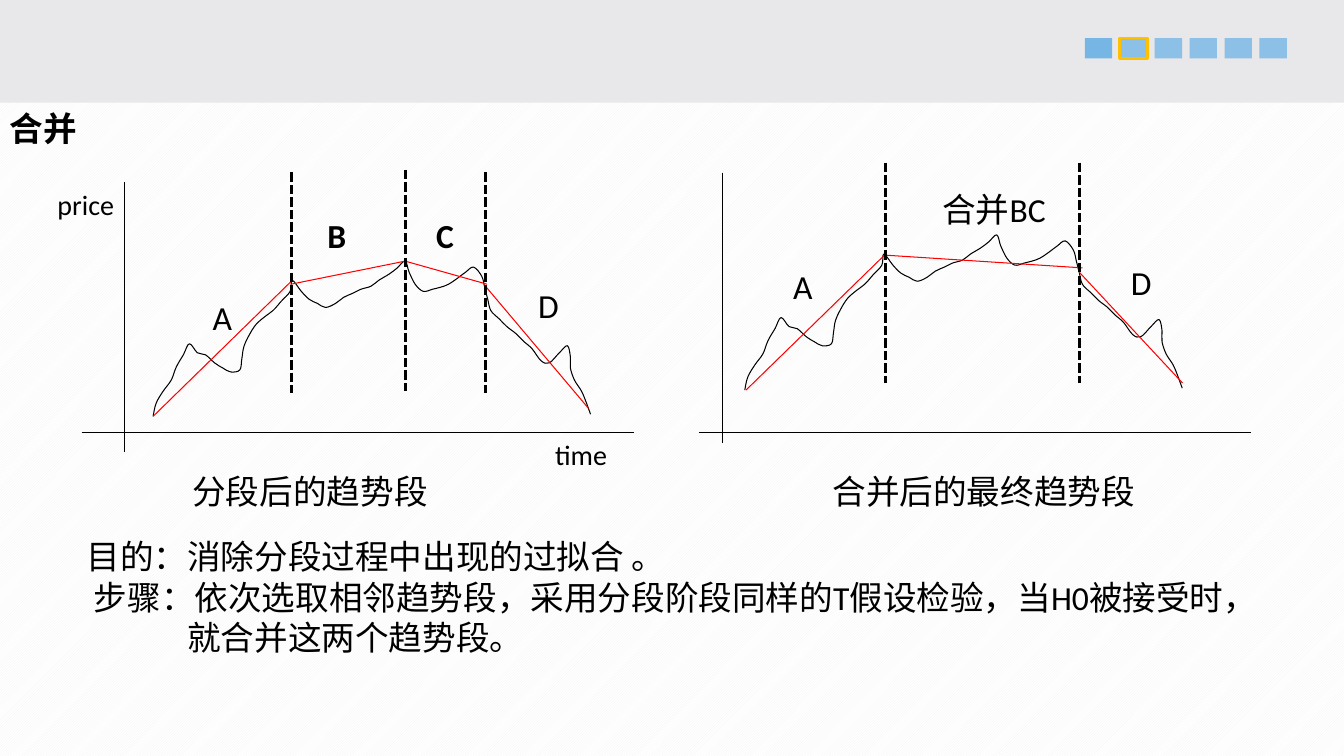
from lxml.etree import SubElement as Sub
from pptx import Presentation
from pptx.dml.color import RGBColor as Rgb
from pptx.enum.dml import MSO_LINE as Dash, MSO_PATTERN as Pat
from pptx.enum.shapes import MSO_CONNECTOR as Conn, MSO_SHAPE as Kind
from pptx.enum.text import MSO_AUTO_SIZE as Fit
from pptx.oxml.ns import qn
from pptx.util import Cm, Pt

HUES = {"ink": "000000", "trend": "FF0000", "band": "E8E8EA", "mark": "75B6E5",
        "ring": "FFC000", "hatch": "F2F2F2", "page": "FFFFFF"}
BODY = {"name": "Calibri", "size": Pt(24), "bold": False}
BOLD = {**BODY, "bold": True}
SMALL = {**BODY, "size": Pt(20)}
HEAD = {**BOLD, "name": "Noto Sans CJK SC"}
THIN = {"width": Pt(0.75)}
SPLIT = {"width": Pt(2.25), "dash_style": Dash.SQUARE_DOT}

# Price curve in hundredths of an inch from its own left and top edge
PRICE = [
    (0, 154), (3, 141), (10, 129), (18, 118), (23, 105), (30, 93), (36, 82),
    (44, 91), (52, 93), (61, 101), (69, 106), (77, 110), (86, 108), (88, 97),
    (90, 85), (95, 74), (102, 63), (111, 55), (119, 49), (127, 40), (136, 30),
    (138, 19), (147, 30), (155, 38), (163, 42), (171, 46), (181, 42), (189, 36),
    (198, 32), (206, 28), (216, 25), (224, 19), (234, 13), (242, 7), (250, 0),
    (254, 11), (260, 23), (268, 30), (277, 28), (285, 26), (293, 23), (302, 17),
    (310, 11), (318, 6), (326, 15), (329, 26), (332, 38), (335, 49), (343, 57),
    (351, 65), (360, 72), (368, 80), (376, 87), (385, 99), (393, 101), (403, 91),
    (411, 84), (414, 95), (414, 106), (418, 118), (425, 129), (430, 141), (434, 152)]

# Lengths in cm from the panel's left and top edge
BEFORE = {
    "axis": (1.07, 0.5), "curve": (1.8, 2.49),
    "trend": [(1.8, 6.4, 5.31, 2.97), (5.28, 3.07, 8.15, 2.49),
              (8.15, 2.49, 10.21, 3.07), (10.13, 3.07, 12.77, 6.2)],
    "split": [(5.28, 0.25), (8.15, 0.19), (10.17, 0.25)],
    "label": [("time", 11.68, 6.81, 1.83, SMALL), ("price", -0.86, 0.51, 1.93, SMALL),
              ("分段后的趋势段", 2.54, 7.64, 6.43, BODY), ("A", 3.05, 3.27, 1, BODY),
              ("B", 5.94, 1.19, 1, BOLD), ("D", 11.25, 2.97, 1, BODY),
              ("C", 8.68, 1.19, 1, BOLD)]}
AFTER = {
    "axis": (0.6, 0.26), "curve": (1.16, 1.83),
    "trend": [(1.19, 5.74, 4.71, 2.31), (9.59, 2.77, 12.19, 5.56),
              (4.71, 2.34, 9.67, 2.66)],
    "split": [(4.71, 0.01), (9.59, 0.01)],
    "label": [("合并后的最终趋势段", 3.12, 7.64, 8.13, BODY), ("A", 2.13, 2.49, 1, BODY),
              ("D", 10.64, 2.39, 1, BODY), ("合并BC", 5.89, 0.54, 3.15, BODY, True)]}
STEPS = ["目的：消除分段过程中出现的过拟合 。",
         " 步骤：依次选取相邻趋势段，采用分段阶段同样的T假设检验，当H0被接受时，",
         "\t就合并这两个趋势段。"]


def hue(key):
    return Rgb.from_string(HUES[key])


def apply(part, form):
    for key, value in form.items():
        setattr(part, key, value)


def text(slide, lines, x, y, w, h, form, wrap=False):
    frame = slide.shapes.add_textbox(Cm(x), Cm(y), Cm(w), Cm(h)).text_frame
    apply(frame, {"word_wrap": wrap, "auto_size": Fit.SHAPE_TO_FIT_TEXT})
    for i, line in enumerate(lines):
        para = frame.add_paragraph() if i else frame.paragraphs[0]
        if line.startswith("\t"):
            tabs = Sub(para._p.get_or_add_pPr(), qn("a:tabLst"))
            Sub(tabs, qn("a:tab"), pos=str(Cm(2.54)), algn="l")
        run = para.add_run()
        run.text = line
        apply(run.font, form)
        run.font.color.rgb = hue("ink")


def rule(slide, x1, y1, x2, y2, form, key="ink"):
    line = slide.shapes.add_connector(Conn.STRAIGHT, Cm(x1), Cm(y1), Cm(x2), Cm(y2))
    apply(line.line, form)
    line.line.color.rgb = hue(key)
    Sub(line._element.spPr, qn("a:effectLst"))


def block(slide, x, y, w, h, key):
    rect = slide.shapes.add_shape(Kind.RECTANGLE, Cm(x), Cm(y), Cm(w), Cm(h))
    rect.shadow.inherit = False
    rect.fill.solid()
    rect.fill.fore_color.rgb = hue(key)
    rect.line.fill.background()
    return rect


def bend(shape, knots):
    """Turn the straight segments between the knots into smooth cubic ones."""
    ends = [knots[0], *knots, knots[-1]]
    lines = list(shape._element.iter(qn("a:lnTo")))
    for line, a, b, c, d in zip(lines, ends, ends[1:], ends[2:], ends[3:]):
        line.tag = qn("a:cubicBezTo")
        line.remove(line[0])
        first = [q + (r - p) / 6 for p, q, r in zip(a, b, c)]
        second = [q - (r - p) / 6 for p, q, r in zip(b, c, d)]
        for px, py in (first, second, c):
            Sub(line, qn("a:pt"), x=str(round(px)), y=str(round(py)))


def curve(slide, x, y):
    knots = [(10 * px, 10 * py) for px, py in PRICE]
    pen = slide.shapes.build_freeform(*knots[0], scale=Cm(2.54) / 1000)
    pen.add_line_segments(knots[1:], close=False)
    shape = pen.convert_to_shape(Cm(x), Cm(y))
    bend(shape, knots)
    shape.shadow.inherit = False
    shape.fill.background()
    apply(shape.line, THIN)
    shape.line.color.rgb = hue("ink")


def header(slide, x, y, w, h):
    """Draw the top band with its six page marks, the second one ringed."""
    block(slide, x, y, w, h, "band")
    for i in range(6):
        mark = block(slide, x + 27.34 + 0.88 * i, y + 0.96, 0.69, 0.51, "mark")
        if i:
            tint = mark._element.spPr.find(".//" + qn("a:srgbClr"))
            Sub(tint, qn("a:alpha"), val="80000")
        if i == 1:
            mark.line.color.rgb = hue("ring")
            mark.line.width = Pt(2)


def panel(slide, x, y, w, h, data):
    """Draw one price chart; h is the depth of the time axis."""
    dx, dy = data["axis"]
    rule(slide, x + dx, y + dy, x + dx, y + dy + 6.81, THIN)
    rule(slide, x, y + h, x + w, y + h, THIN)
    dx, dy = data["curve"]
    curve(slide, x + dx, y + dy)
    for x1, y1, x2, y2 in data["trend"]:
        rule(slide, x + x1, y + y1, x + x2, y + y2, THIN, "trend")
    for dx, dy in data["split"]:
        rule(slide, x + dx, y + dy, x + dx, y + dy + 5.56, SPLIT)
    for word, dx, dy, wide, form, *wrap in data["label"]:
        text(slide, [word], x + dx, y + dy, wide, 1.27, form, *wrap)


def main():
    deck = Presentation()
    apply(deck, {"slide_width": Cm(33.87), "slide_height": Cm(19.05)})
    slide = deck.slides.add_slide(deck.slide_layouts[6])
    fill = slide.background.fill
    fill.patterned()
    fill.pattern = Pat.LIGHT_UPWARD_DIAGONAL
    fill.fore_color.rgb = hue("hatch")
    fill.back_color.rgb = hue("page")
    header(slide, 0, 0, 33.87, 2.59)
    text(slide, ["合并"], 0, 2.59, 28.93, 1.27, HEAD, True)
    for x, data in ((2.06, BEFORE), (17.61, AFTER)):
        panel(slide, x, 4.09, 13.92, 6.81, data)
    text(slide, STEPS, 1.93, 13.39, 30, 3.33, BODY)
    deck.save("out.pptx")


if __name__ == "__main__":
    main()
